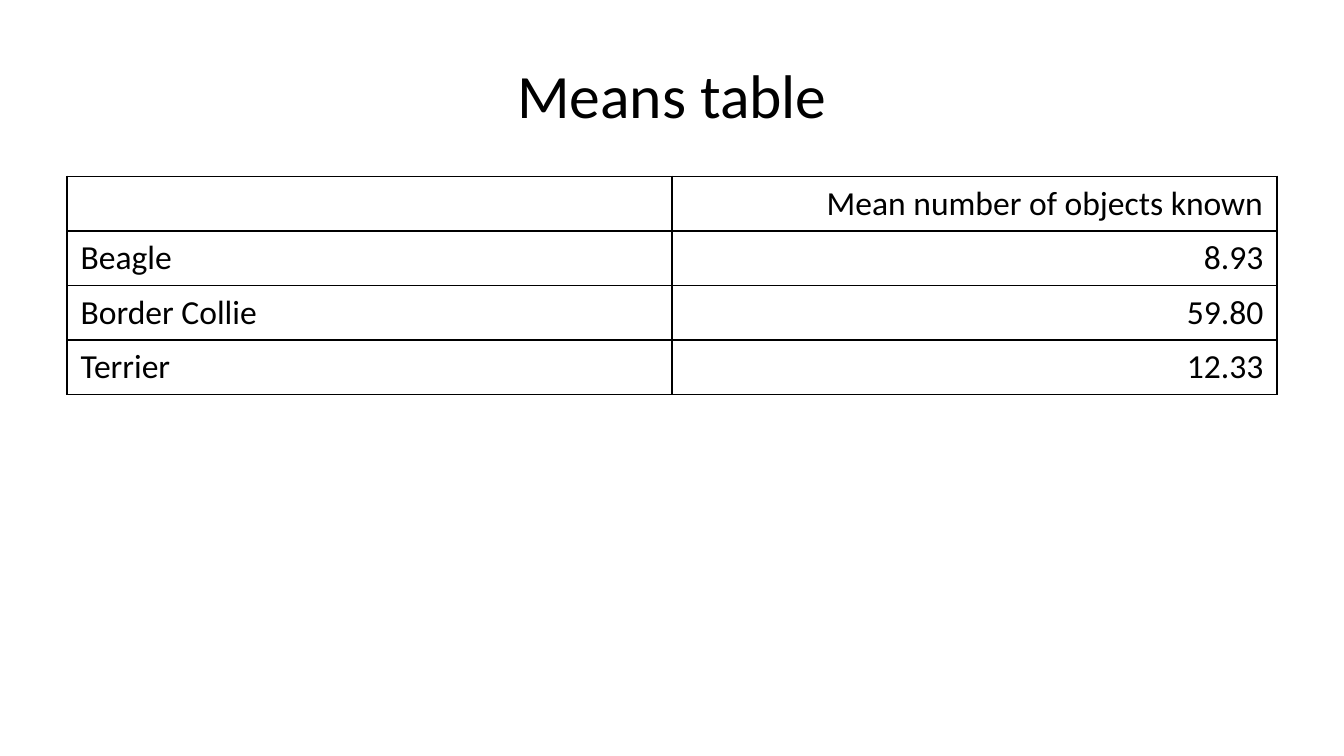
from lxml import etree
from pptx import Presentation
from pptx.dml.color import RGBColor
from pptx.enum.text import MSO_ANCHOR, PP_ALIGN
from pptx.oxml.ns import qn
from pptx.util import Cm, Pt

BLACK = RGBColor(0x00, 0x00, 0x00)
WHITE = RGBColor(0xFF, 0xFF, 0xFF)
LEFT, CENTER, RIGHT = PP_ALIGN.LEFT, PP_ALIGN.CENTER, PP_ALIGN.RIGHT
MIDDLE = MSO_ANCHOR.MIDDLE
TITLE_ONLY = 5

MEANS = [
    ("", "Mean number of objects known"),
    ("Beagle", "8.93"),
    ("Border Collie", "59.80"),
    ("Terrier", "12.33"),
]


class SlideBuilder:
    """Holds the style and the current slide."""

    font_name = "Calibri"
    title_size = Pt(33)
    table_size = Pt(18)
    border_width = Pt(1)

    def __init__(self, slide):
        self.slide = slide
        slide.background.fill.solid()
        slide.background.fill.fore_color.rgb = WHITE

    def format_paragraph(self, para, size, align):
        para.alignment = align
        para.font.name = self.font_name
        para.font.size = size
        para.font.bold = False
        para.font.color.rgb = BLACK

    def title(self, text, left, top, width, height):
        box = self.slide.shapes.title
        box.left, box.top, box.width, box.height = left, top, width, height
        box.text_frame.text = text
        box.text_frame.vertical_anchor = MIDDLE
        self.format_paragraph(box.text_frame.paragraphs[0], self.title_size, CENTER)

    def cell_borders(self, cell):
        properties = cell._tc.get_or_add_tcPr()
        for side in ("lnL", "lnR", "lnT", "lnB"):
            line = etree.SubElement(properties, qn(f"a:{side}"), w=str(self.border_width))
            fill = etree.SubElement(line, qn("a:solidFill"))
            etree.SubElement(fill, qn("a:srgbClr"), val=str(BLACK))

    def table(self, rows, aligns, left, top, width, row_height):
        frame = self.slide.shapes.add_table(
            len(rows), len(aligns), left, top, width, row_height * len(rows))
        table = frame.table
        table.first_row = False
        table.horz_banding = False
        for row_index, texts in enumerate(rows):
            for column_index, (text, align) in enumerate(zip(texts, aligns)):
                cell = table.cell(row_index, column_index)
                cell.text = text
                self.format_paragraph(
                    cell.text_frame.paragraphs[0], self.table_size, align)
                self.cell_borders(cell)
                cell.fill.background()


def main():
    deck = Presentation()
    deck.slide_width, deck.slide_height = Cm(25.4), Cm(14.28)
    builder = SlideBuilder(deck.slides.add_slide(deck.slide_layouts[TITLE_ONLY]))

    # Title
    builder.title("Means table", Cm(1.27), Cm(0.58), Cm(22.86), Cm(2.39))

    # Mean per breed
    builder.table(MEANS, (LEFT, RIGHT), Cm(1.27), Cm(3.33), Cm(22.86), Cm(1.03))

    deck.save("out.pptx")


if __name__ == "__main__":
    main()
